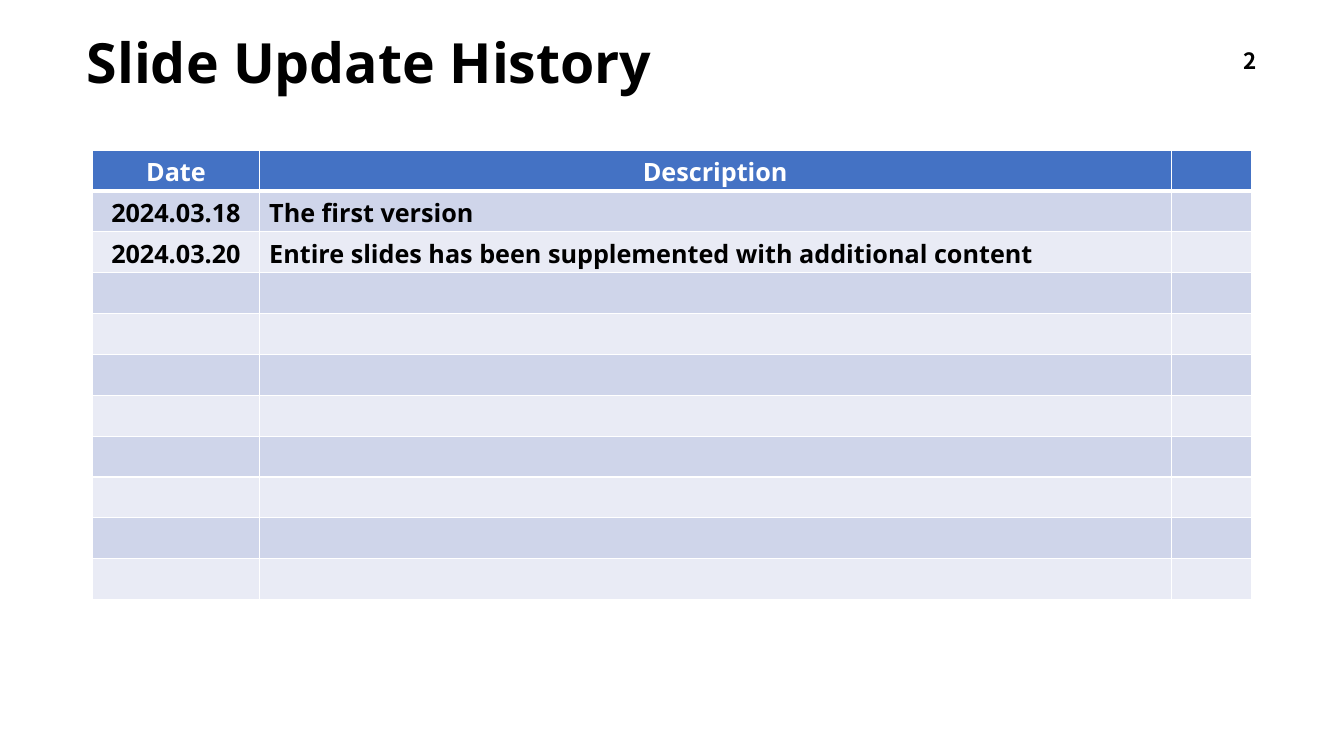
from lxml import etree
from pptx import Presentation
from pptx.dml.color import RGBColor
from pptx.enum.text import MSO_ANCHOR, MSO_AUTO_SIZE, PP_ALIGN
from pptx.oxml.ns import qn
from pptx.util import Cm, Pt

MIDDLE = MSO_ANCHOR.MIDDLE
NO_AUTOFIT = MSO_AUTO_SIZE.NONE
LEFT, CENTER, RIGHT = PP_ALIGN.LEFT, PP_ALIGN.CENTER, PP_ALIGN.RIGHT
BLACK = RGBColor(0x00, 0x00, 0x00)
WHITE = RGBColor(0xFF, 0xFF, 0xFF)
HEADER_BLUE = RGBColor(0x44, 0x72, 0xC4)
BANDS = [RGBColor(0xE9, 0xEB, 0xF5), RGBColor(0xCF, 0xD5, 0xEA)]
FONT = "Open Sans"
NUMBER_FONT = "Noto Sans CJK KR"
ROW_COUNT = 11
COLUMN_WIDTHS = [Cm(4.19), Cm(22.99), Cm(2.03)]
HISTORY = [
    ("Date", "Description"),
    ("2024.03.18", "The first version"),
    ("2024.03.20", "Entire slides has been supplemented with additional content"),
]


def add_text(para, text, font_name, size, color, align):
    para.alignment = align
    span = para.add_run()
    span.text = text
    span.font.name = font_name
    span.font.size = Pt(size)
    span.font.bold = True
    span.font.color.rgb = color


def add_border(cell, side, width):
    line = etree.SubElement(cell._tc.get_or_add_tcPr(), qn(f"a:ln{side}"), w=str(Pt(width)))
    fill = etree.SubElement(line, qn("a:solidFill"))
    etree.SubElement(fill, qn("a:srgbClr"), val=str(WHITE))


deck = Presentation()
deck.slide_width = Cm(33.87)
deck.slide_height = Cm(19.05)
page = deck.slides.add_slide(deck.slide_layouts[5])

title = page.shapes.title
title.left, title.top, title.width, title.height = Cm(1.93), Cm(1.02), Cm(29.49), Cm(1.27)
title.text_frame.auto_size = NO_AUTOFIT
title.text_frame.vertical_anchor = MIDDLE
title_para = title.text_frame.paragraphs[0]
title_para.line_spacing = 0.9
add_text(title_para, "Slide Update History", FONT, 39.6, BLACK, LEFT)

number_box = page.shapes.add_textbox(Cm(24.31), Cm(1.02), Cm(7.62), Cm(1.02))
number_box.text_frame.word_wrap = True
number_box.text_frame.vertical_anchor = MIDDLE
add_text(number_box.text_frame.paragraphs[0], "2", NUMBER_FONT, 16, BLACK, RIGHT)

table = page.shapes.add_table(
    ROW_COUNT, len(COLUMN_WIDTHS), Cm(2.34), Cm(3.78), sum(COLUMN_WIDTHS), Cm(11.33)
).table
for column, width in zip(table.columns, COLUMN_WIDTHS):
    column.width = width

for row_index, row in enumerate(table.rows):
    is_header = row_index == 0
    entries = HISTORY[row_index] if row_index < len(HISTORY) else ()
    for column_index, cell in enumerate(row.cells):
        add_border(cell, "L", 1)
        add_border(cell, "R", 1)
        add_border(cell, "T", 3 if row_index == 1 else 1)
        add_border(cell, "B", 3 if is_header else 1)
        cell.fill.solid()
        cell.fill.fore_color.rgb = HEADER_BLUE if is_header else BANDS[row_index % 2]
        para = cell.text_frame.paragraphs[0]
        if column_index < len(entries):
            align = CENTER if is_header or column_index == 0 else LEFT
            color = WHITE if is_header else BLACK
            add_text(para, entries[column_index], FONT, 18, color, align)
        else:
            empty_format = etree.SubElement(para._p, qn("a:endParaRPr"), sz="1800", b="1")
            etree.SubElement(empty_format, qn("a:latin"), typeface=FONT)

deck.save("out.pptx")
